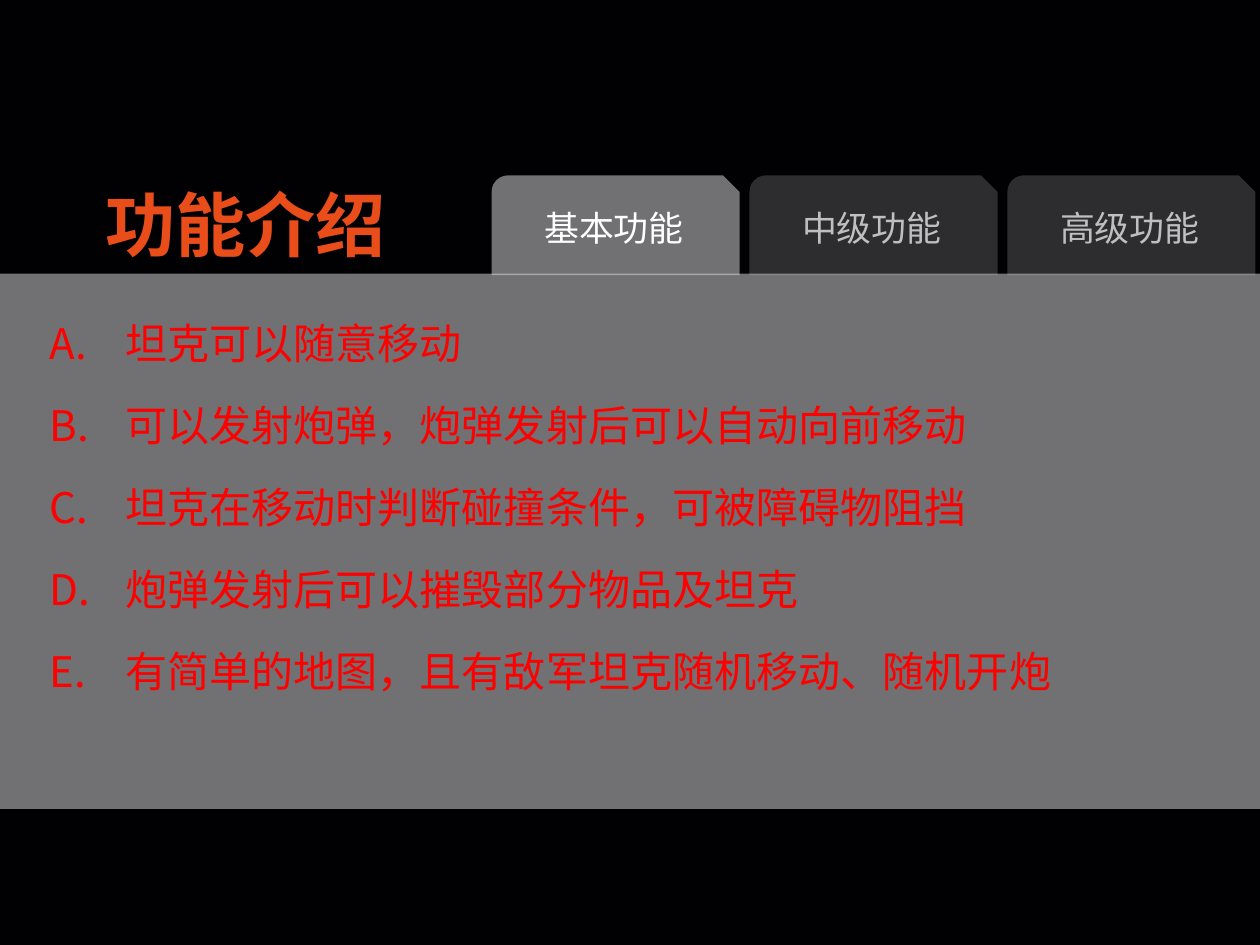
from lxml import etree
from pptx import Presentation
from pptx.dml.color import RGBColor
from pptx.enum.shapes import MSO_SHAPE
from pptx.enum.text import MSO_ANCHOR, MSO_AUTO_SIZE, PP_ALIGN
from pptx.oxml.ns import qn
from pptx.util import Inches, Pt

RECTANGLE = MSO_SHAPE.RECTANGLE
TAB_SHAPE = MSO_SHAPE.SNIP_ROUND_RECTANGLE
MIDDLE = MSO_ANCHOR.MIDDLE
CENTER = PP_ALIGN.CENTER
NO_AUTOFIT = MSO_AUTO_SIZE.NONE

FONT = "Noto Sans CJK SC"
BLACK = RGBColor(0x01, 0x01, 0x03)
PANEL_GRAY = RGBColor(0xE1, 0xE0, 0xE2)
TAB_GRAY = RGBColor(0xBF, 0xBF, 0xBF)
WHITE = RGBColor(0xFF, 0xFF, 0xFF)
ORANGE = RGBColor(0xE9, 0x4D, 0x1A)
RED = RGBColor(0xFF, 0x00, 0x00)

TABS = [("基本功能", WHITE, 50), ("中级功能", TAB_GRAY, 20), ("高级功能", TAB_GRAY, 20)]
TAB_LEFT, TAB_STEP = 3.25, 1.705
FEATURES = [
    "坦克可以随意移动",
    "可以发射炮弹，炮弹发射后可以自动向前移动",
    "坦克在移动时判断碰撞条件，可被障碍物阻挡",
    "炮弹发射后可以摧毁部分物品及坦克",
    "有简单的地图，且有敌军坦克随机移动、随机开炮",
]


def add_panel(preset, left, top, width, height, opacity):
    """Add a borderless gray shape with the given opacity in percent."""
    shape = slide.shapes.add_shape(
        preset, Inches(left), Inches(top), Inches(width), Inches(height))
    shape.shadow.inherit = False
    shape.line.fill.background()
    shape.fill.solid()
    shape.fill.fore_color.rgb = PANEL_GRAY
    color = shape.fill._xPr.find(qn("a:solidFill"))[0]
    etree.SubElement(color, qn("a:alpha"), val=str(opacity * 1000))
    return shape


def write_run(paragraph, text, size, color, bold=False):
    run = paragraph.add_run()
    run.text = text
    font_format = {"size": Pt(size), "name": FONT, "bold": bold}
    for name, value in font_format.items():
        setattr(run.font, name, value)
    run.font.color.rgb = color
    east_asian = etree.Element(qn("a:ea"), typeface=FONT)
    run.font._element.find(qn("a:latin")).addnext(east_asian)


presentation = Presentation()
presentation.slide_width = Inches(8.33)
presentation.slide_height = Inches(6.25)
slide = presentation.slides.add_slide(presentation.slide_layouts[5])
slide.background.fill.solid()
slide.background.fill.fore_color.rgb = BLACK

add_panel(RECTANGLE, 0, 1.81, 8.33, 3.54, 50)

for index, (label, color, opacity) in enumerate(TABS):
    tab = add_panel(TAB_SHAPE, TAB_LEFT + index * TAB_STEP, 1.16, 1.64, 0.66, opacity)
    tab.text_frame.vertical_anchor = MIDDLE
    paragraph = tab.text_frame.paragraphs[0]
    paragraph.alignment = CENTER
    write_run(paragraph, label, 16.6, color)

title = slide.shapes.title
title_box = {"left": 0.59, "top": 1.15, "width": 2.07, "height": 0.66}
for name, value in title_box.items():
    setattr(title, name, Inches(value))
title_format = {"word_wrap": False, "auto_size": NO_AUTOFIT, "vertical_anchor": MIDDLE}
for name, value in title_format.items():
    setattr(title.text_frame, name, value)
paragraph = title.text_frame.paragraphs[0]
paragraph.alignment = CENTER
write_run(paragraph, "功能介绍", 33.4, ORANGE, bold=True)

feature_box = slide.shapes.add_textbox(Inches(0.23), Inches(2.02), Inches(7.6), Inches(2.63))
feature_frame = feature_box.text_frame
feature_frame.word_wrap = True
feature_frame.margin_top = Inches(0.08)
for index, feature in enumerate(FEATURES):
    paragraph = feature_frame.add_paragraph() if index else feature_frame.paragraphs[0]
    paragraph.line_spacing = Pt(24)
    paragraph.space_before = Pt(15)
    properties = paragraph._p.get_or_add_pPr()
    properties.set("marL", str(Inches(0.5)))
    properties.set("indent", str(-Inches(0.5)))
    etree.SubElement(properties, qn("a:buFont"), typeface=FONT)
    etree.SubElement(properties, qn("a:buAutoNum"), type="alphaUcPeriod")
    write_run(paragraph, feature, 20, RED)

presentation.save("out.pptx")
